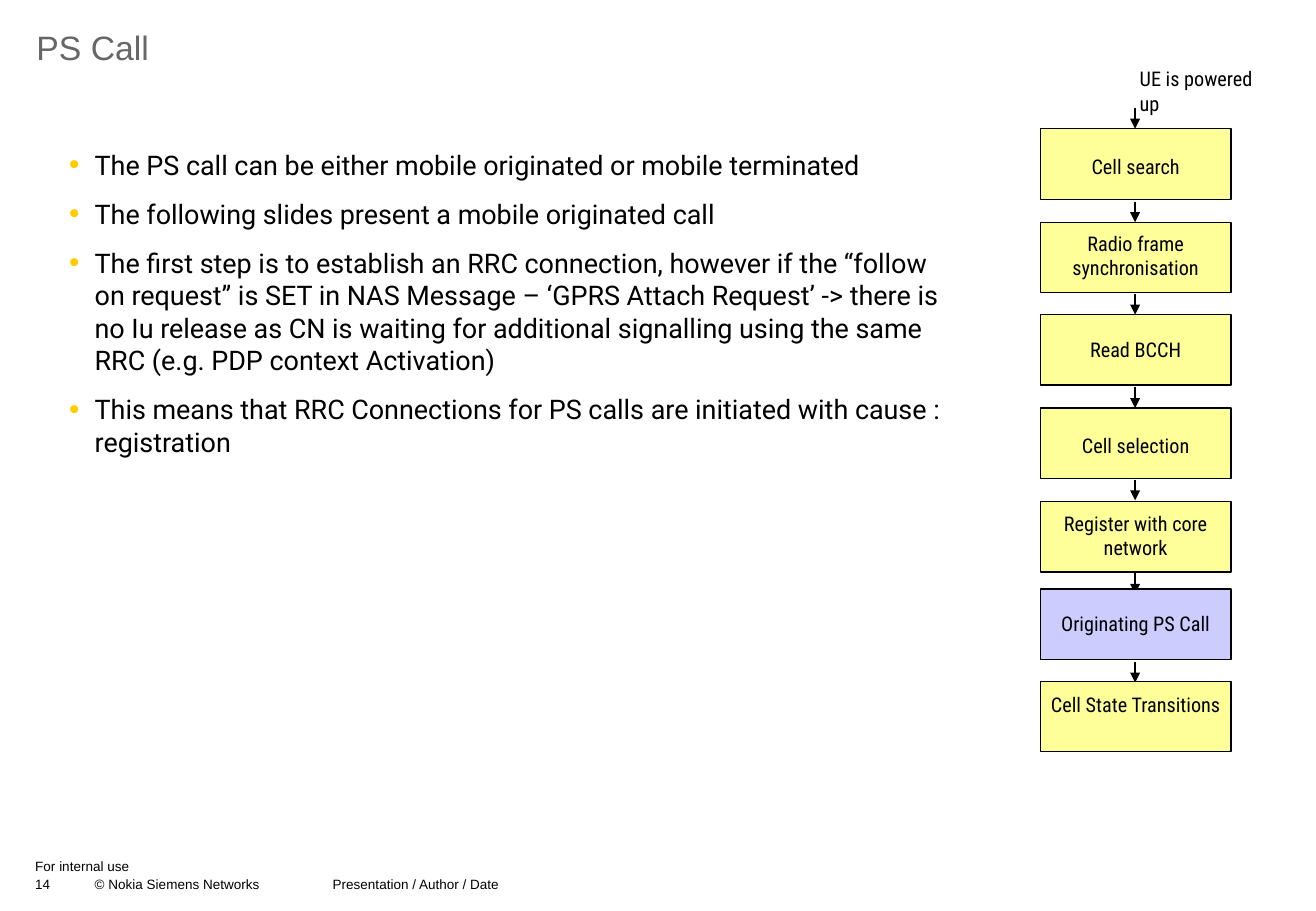
import lxml.etree
import pptx
import pptx.dml.color
import pptx.enum.shapes
import pptx.enum.text
import pptx.oxml.ns
import pptx.util

Inches = pptx.util.Inches
Pt = pptx.util.Pt
RGBColor = pptx.dml.color.RGBColor
ALIGN = pptx.enum.text.PP_ALIGN
ANCHOR = pptx.enum.text.MSO_ANCHOR
qn = pptx.oxml.ns.qn

BLACK = RGBColor(0x00, 0x00, 0x00)
GREY = RGBColor(0x66, 0x66, 0x66)
YELLOW = RGBColor(0xFF, 0xFF, 0x99)
LILAC = RGBColor(0xCC, 0xCC, 0xFF)
AMBER = RGBColor(0xFF, 0xCC, 0x00)

TITLE_FONT = {"name": "Arial", "size": Pt(20), "bold": False}
BODY_FONT = {"name": "Roboto", "size": Pt(16)}
STEP_FONT = {"name": "Roboto Condensed", "size": Pt(12)}
FOOTER_FONT = {"name": "Arial", "size": Pt(8)}

STEP_LEFT, STEP_WIDTH, STEP_HEIGHT = 8.57, 1.57, 0.58
FIRST_STEP_TOP, FIRST_ARROW_TOP, STEP_PITCH = 1.06, 0.89, 0.77
ARROW_X, ARROW_LENGTH = 9.35, 0.17

# label, fill, text inset from box top, box lift, arrow lift
STEPS = [
    ("Cell search", YELLOW, 0.21, 0, 0),
    ("Radio frame synchronisation", YELLOW, 0.07, 0, 0),
    ("Read BCCH", YELLOW, 0.19, 0.01, 0.01),
    ("Cell selection", YELLOW, 0.21, 0.01, 0.01),
    ("Register with core network", YELLOW, 0.08, 0.01, 0.02),
    ("Originating PS Call", LILAC, 0.18, 0.06, 0.02),
    ("Cell State Transitions", YELLOW, 0.09, 0.07, 0.06),
]

POINTS = [
    "The PS call can be either mobile originated or mobile terminated",
    "The following slides present a mobile originated call",
    "The first step is to establish an RRC connection, however if the “follow on request” "
    "is SET in NAS Message – ‘GPRS Attach Request’ -> there is no Iu release as CN is waiting "
    "for additional signalling using the same RRC (e.g. PDP context Activation)",
    "This means that RRC Connections for PS calls are initiated with cause : registration",
]


def set_all(target, values):
    for name, value in values.items():
        setattr(target, name, value)


def place(shape, left, top, width, height):
    set_all(shape, {"left": Inches(left), "top": Inches(top),
                    "width": Inches(width), "height": Inches(height)})


def set_frame(frame, side=0, top=0, bottom=0):
    set_all(frame, {"word_wrap": True, "auto_size": pptx.enum.text.MSO_AUTO_SIZE.NONE,
                    "vertical_anchor": ANCHOR.TOP,
                    "margin_left": Inches(side), "margin_right": Inches(side),
                    "margin_top": Inches(top), "margin_bottom": Inches(bottom)})


def write(paragraph, text, font, color=BLACK, **layout):
    set_all(paragraph, layout)
    run = paragraph.add_run()
    run.text = text
    set_all(run.font, font)
    run.font.color.rgb = color


def add_child(parent, tag, **attributes):
    return lxml.etree.SubElement(parent, qn(tag), attributes)


def add_bullet(paragraph):
    properties = paragraph._p.get_or_add_pPr()
    properties.set("marL", str(Inches(0.21)))
    properties.set("indent", str(Inches(-0.21)))
    add_child(add_child(properties, "a:buClr"), "a:srgbClr", val=str(AMBER))
    add_child(properties, "a:buSzPct", val="110000")
    add_child(properties, "a:buFont", typeface="Arial")
    add_child(properties, "a:buChar", char="•")


def add_tabs(paragraph, positions):
    tabs = add_child(paragraph._p.get_or_add_pPr(), "a:tabLst")
    for position in positions:
        add_child(tabs, "a:tab", pos=str(Inches(position)), algn="l")


def add_label(slide, text, font, box, tabs=(), side=0, top=0):
    label = slide.shapes.add_textbox(*map(Inches, box))
    set_frame(label.text_frame, side, top)
    paragraph = label.text_frame.paragraphs[0]
    if tabs:
        add_tabs(paragraph, tabs)
    write(paragraph, text, font)


def add_arrow(slide, top):
    arrow = slide.shapes.add_connector(
        pptx.enum.shapes.MSO_CONNECTOR.STRAIGHT,
        Inches(ARROW_X), Inches(top), Inches(ARROW_X), Inches(top + ARROW_LENGTH))
    arrow.line.color.rgb = BLACK
    arrow.line.width = Pt(0.75)
    properties = arrow.element.spPr
    add_child(properties.find(qn("a:ln")), "a:tailEnd", type="triangle")
    add_child(properties, "a:effectLst")


def add_step(slide, label, fill, top, text_inset):
    step = slide.shapes.add_shape(
        pptx.enum.shapes.MSO_SHAPE.RECTANGLE,
        Inches(STEP_LEFT), Inches(top), Inches(STEP_WIDTH), Inches(STEP_HEIGHT))
    step.shadow.inherit = False
    step.fill.solid()
    step.fill.fore_color.rgb = fill
    step.line.color.rgb = BLACK
    step.line.width = Pt(0.75)
    set_frame(step.text_frame, 0.07, text_inset)
    write(step.text_frame.paragraphs[0], label, STEP_FONT, alignment=ALIGN.CENTER)


def fill_title(title):
    place(title, 0.3, 0.26, 10.23, 0.48)
    set_frame(title.text_frame)
    write(title.text_frame.paragraphs[0], "PS Call", TITLE_FONT, GREY,
          alignment=ALIGN.LEFT, line_spacing=0.9)


def fill_points(body):
    place(body, 0.47, 1.17, 7.4, 2.65)
    frame = body.text_frame
    set_frame(frame, 0.1, 0.05, 0.05)
    for index, point in enumerate(POINTS):
        paragraph = frame.add_paragraph() if index else frame.paragraphs[0]
        add_bullet(paragraph)
        write(paragraph, point, BODY_FONT, alignment=ALIGN.LEFT,
              space_before=Pt(5 if index else 0), space_after=Pt(5))


def add_call_flow(slide):
    add_label(slide, "UE is powered up", STEP_FONT, (9.29, 0.5, 1.2, 0.5), side=0.1, top=0.05)
    for index, (label, fill, text_inset, box_lift, arrow_lift) in enumerate(STEPS):
        offset = index * STEP_PITCH
        add_arrow(slide, FIRST_ARROW_TOP + offset - arrow_lift)
        add_step(slide, label, fill, FIRST_STEP_TOP + offset - box_lift, text_inset)


def main():
    presentation = pptx.Presentation()
    presentation.slide_width = Inches(10.84)
    presentation.slide_height = Inches(7.5)
    slide = presentation.slides.add_slide(presentation.slide_layouts[1])
    fill_title(slide.shapes.title)
    fill_points(slide.placeholders[1])
    add_call_flow(slide)
    add_label(slide, "For internal use", FOOTER_FONT, (0.29, 7.06, 3.61, 0.15))
    add_label(slide, "14\t© Nokia Siemens Networks \tPresentation / Author / Date",
              FOOTER_FONT, (0.29, 7.21, 8.11, 0.17), tabs=(0.49, 2.45))
    presentation.save("out.pptx")


if __name__ == "__main__":
    main()
